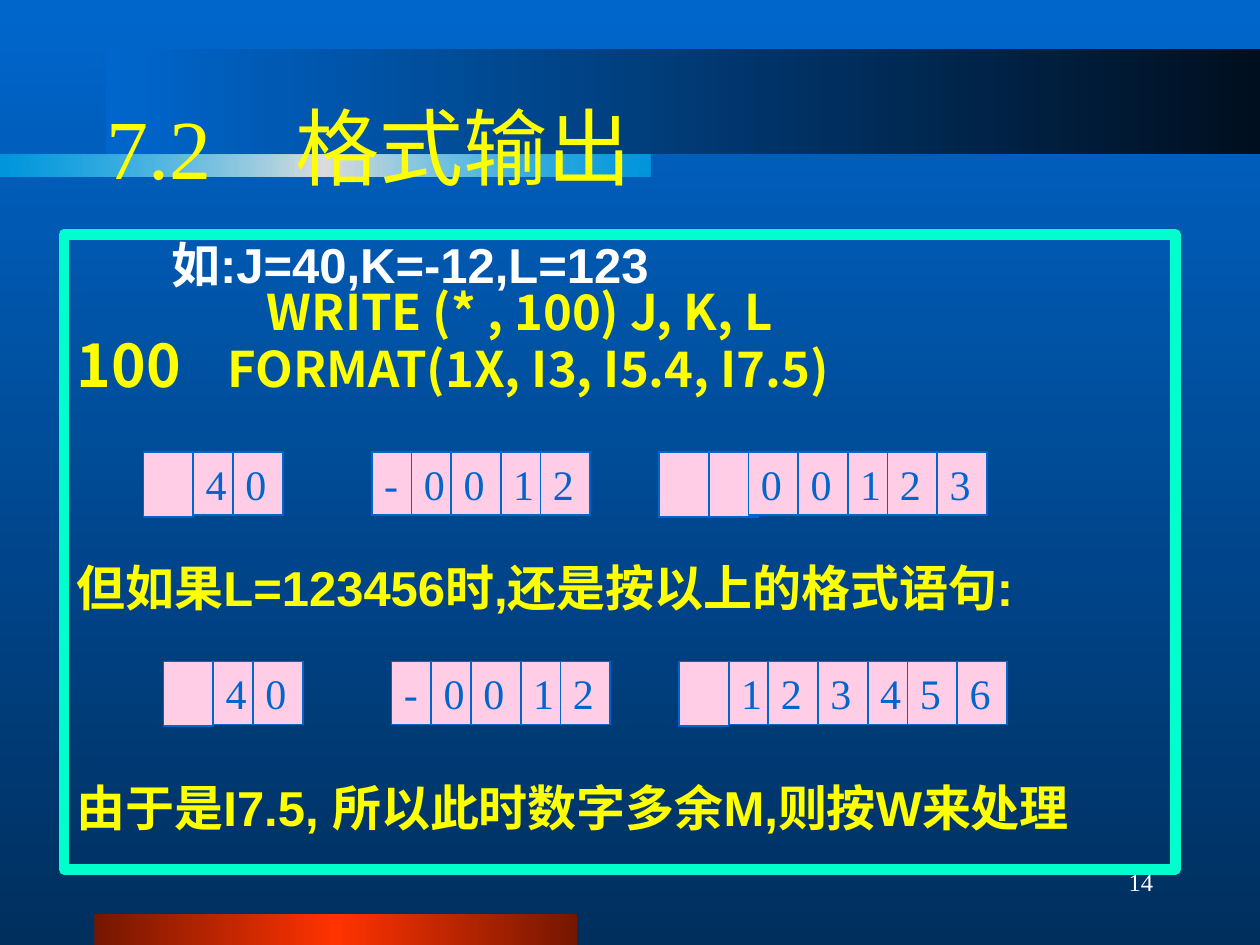
from itertools import accumulate

from pptx import Presentation
from pptx.dml.color import RGBColor
from pptx.enum import shapes, text
from pptx.oxml import parse_xml
from pptx.oxml.ns import nsdecls, qn
from pptx.util import Pt

BLUE = RGBColor(0x00, 0x66, 0xCC)
NAVY = RGBColor(0x00, 0x2F, 0x5E)
BLACK = RGBColor(0x00, 0x0F, 0x1F)
RED = RGBColor(0xFF, 0x33, 0x00)
MAROON = RGBColor(0x75, 0x17, 0x00)
CYAN = RGBColor(0x00, 0xCC, 0xFF)
GREY = RGBColor(0xDD, 0xDD, 0xDD)
MINT = RGBColor(0x00, 0xFF, 0xCC)
PINK = RGBColor(0xFF, 0xCD, 0xE6)
YELLOW = RGBColor(0xFF, 0xFF, 0x00)
WHITE = RGBColor(0xFF, 0xFF, 0xFF)

SERIF, SANS, CJK = "Times New Roman", "Arial", "Noto Sans CJK SC"

# Each digit group: left edge and the steps between cells (W wide, N narrow)
GROUPS = [(82.1, "WN"), (212.4, "NNWN"), (376.6, "WNWWNW")]
STEP = {"W": 28.4, "N": 22.7}


def grade(fill, root, angle, stops):
    """Give a fill a linear gradient of (percent, colour, alpha) stops."""
    fill.background()
    marks = "".join(
        f'<a:gs pos="{pos * 1000}"><a:srgbClr val="{color}">'
        f'<a:alpha val="{alpha * 1000}"/></a:srgbClr></a:gs>'
        for pos, color, alpha in stops)
    node = next(root.iter(qn("a:noFill")))
    node.getparent().replace(node, parse_xml(
        f'<a:gradFill {nsdecls("a")} rotWithShape="1"><a:gsLst>{marks}</a:gsLst>'
        f'<a:lin ang="{angle * 60000}" scaled="0"/></a:gradFill>'))


def add_rect(slide, box):
    rect = slide.shapes.add_shape(shapes.MSO_SHAPE.RECTANGLE, *map(Pt, box))
    rect.shadow.inherit = False
    return rect


def add_band(slide, box, stops):
    band = add_rect(slide, box)
    grade(band.fill, band._element, 180, stops)
    band.line.fill.background()


def add_run(para, words, size, font, color, bold=False):
    run = para.add_run()
    run.text = words
    run.font.size = Pt(size)
    run.font.name = font
    run.font.bold = bold
    run.font.color.rgb = color
    east = parse_xml(f'<a:ea {nsdecls("a")} typeface="{CJK}"/>')
    run.font._element.find(qn("a:latin")).addnext(east)


def add_label(slide, box, words, size, color, align):
    frame = slide.shapes.add_textbox(*map(Pt, box)).text_frame
    frame.word_wrap = True
    frame.vertical_anchor = text.MSO_ANCHOR.MIDDLE
    para = frame.paragraphs[0]
    para.alignment = align
    add_run(para, words, size, SERIF, color)


def add_body(slide):
    body = add_rect(slide, (36.7, 133.9, 635, 362.9))
    body.fill.background()
    body.line.color.rgb = MINT
    body.line.width = Pt(6)
    frame = body.text_frame
    frame.word_wrap = True
    frame.vertical_anchor = text.MSO_ANCHOR.TOP
    frame.margin_top = Pt(6.6)
    # Words, font, colour, left margin, space before, first number
    lines = [
        ("如:J=40,K=-12,L=123", SANS, WHITE, 54, 0, None),
        ("WRITE (* , 100) J, K, L", CJK, YELLOW, 108.7, 0, None),
        ("FORMAT(1X, I3, I5.4, I7.5)", CJK, YELLOW, 86.4, 5.6, 100),
        ("但如果L=123456时,还是按以上的格式语句:", SANS, YELLOW, 0, 98, None),
        ("由于是I7.5, 所以此时数字多余M,则按W来处理", SANS, YELLOW, 0, 98.7, None),
    ]
    for i, (words, font, color, left, gap, start) in enumerate(lines):
        para = frame.add_paragraph() if i else frame.paragraphs[0]
        para.alignment = text.PP_ALIGN.LEFT
        para.line_spacing = Pt(27)
        if gap:
            para.space_before = Pt(gap)
        props = para._p.get_or_add_pPr()
        props.set("marL", str(Pt(left)))
        props.set("indent", str(-Pt(left) if start else 0))
        if start:
            for tag in (f'buClr {nsdecls("a")}><a:srgbClr val="{YELLOW}"/></a:buClr',
                        f'buSzPct {nsdecls("a")} val="120000"/',
                        f'buFont {nsdecls("a")} typeface="{CJK}"/',
                        f'buAutoNum {nsdecls("a")} type="arabicPlain" startAt="{start}"/'):
                props.append(parse_xml(f"<a:{tag}>"))
        add_run(para, words, 28, font, color, True)


def add_cell(slide, left, top, digit):
    blank = digit == " "
    cell = add_rect(slide, (left, top, 28.4, 36.9 if blank else 36))
    cell.fill.solid()
    cell.fill.fore_color.rgb = PINK
    cell.line.color.rgb = BLUE
    cell.line.width = Pt(1)
    if not blank:
        frame = cell.text_frame
        frame.vertical_anchor = text.MSO_ANCHOR.TOP
        frame.paragraphs[0].alignment = text.PP_ALIGN.LEFT
        add_run(frame.paragraphs[0], digit, 24, SERIF, BLUE)


def add_row(slide, top, shift, fields):
    for (left, steps), field in zip(GROUPS, fields):
        edges = accumulate((STEP[s] for s in steps), initial=left + shift)
        for edge, digit in zip(edges, field):
            add_cell(slide, edge, top, digit)


def main():
    deck = Presentation()
    deck.slide_width, deck.slide_height = Pt(720), Pt(540)
    slide = deck.slides.add_slide(deck.slide_layouts[6])
    grade(slide.background.fill, slide._element, 90,
          [(0, BLUE, 100), (100, NAVY, 100)])
    add_band(slide, (54, 522, 275.8, 18),
             [(0, MAROON, 100), (50, RED, 100), (100, MAROON, 100)])
    add_band(slide, (60.5, 28.1, 659.5, 59.8),
             [(0, BLACK, 100), (100, BLUE, 100)])
    add_band(slide, (-0.7, 88.2, 372.2, 12.6),
             [(0, CYAN, 50), (50, GREY, 100), (100, CYAN, 50)])
    add_label(slide, (54, 38.2, 612, 90), "7.2 格式输出".replace(" ", "　"),
              48, YELLOW, text.PP_ALIGN.LEFT)
    add_body(slide)
    add_row(slide, 258.5, 0, [" 40", "-0012", "  00123"])
    add_row(slide, 378, 11.4, [" 40", "-0012", " 123456"])
    add_label(slide, (516.2, 486, 149.8, 36), "14", 14, WHITE, text.PP_ALIGN.RIGHT)
    deck.save("out.pptx")


if __name__ == "__main__":
    main()
